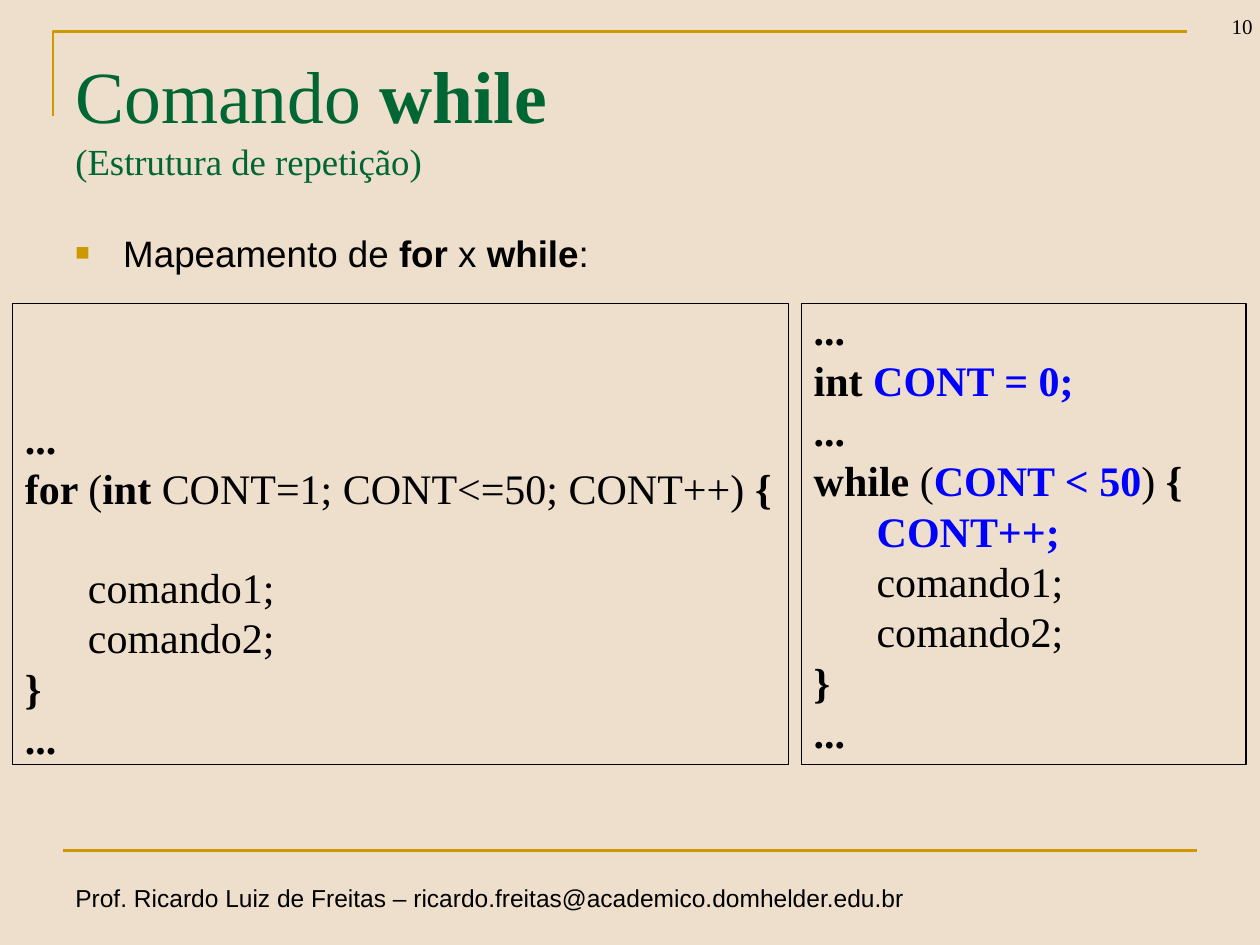
from dataclasses import dataclass

import lxml.etree
import pptx
import pptx.dml.color
import pptx.enum.shapes
import pptx.enum.text
import pptx.oxml.ns
import pptx.util

Inches = pptx.util.Inches
Pt = pptx.util.Pt
RGBColor = pptx.dml.color.RGBColor
Anchor = pptx.enum.text.MSO_ANCHOR
qn = pptx.oxml.ns.qn

SAND = RGBColor(0xEE, 0xDF, 0xCC)
GOLD = RGBColor(0xCC, 0x99, 0x00)
GREEN = RGBColor(0x00, 0x66, 0x33)
BLACK = RGBColor(0x00, 0x00, 0x00)
BLUE = RGBColor(0x00, 0x00, 0xFF)
SERIF = "Times New Roman"
SANS = "Arial"
CODE_GAP = 5.7
BLANK_LINE = 27.8


@dataclass
class Run:
    text: str
    bold: bool = False
    color: RGBColor = BLACK


@dataclass
class CodeLine:
    runs: list[Run]
    blank_lines_before: int = 0


@dataclass
class CodeBox:
    left: float
    width: float
    top_inset: float
    lines: list[CodeLine]


DOTS = CodeLine([Run("...", True)])
CLOSING = [CodeLine([Run("      comando2;")]), CodeLine([Run("}", True)]), DOTS]
CODE_BOXES = [
    CodeBox(0.1, 6.16, 0.94, [
        DOTS,
        CodeLine([Run("for ", True), Run("("), Run("int", True),
                  Run(" CONT=1; CONT<=50; CONT++) "), Run("{", True)]),
        CodeLine([Run("      comando1;")], blank_lines_before=1),
        *CLOSING,
    ]),
    CodeBox(6.36, 3.53, 0.08, [
        DOTS,
        CodeLine([Run("int ", True), Run("CONT = 0;", True, BLUE)]),
        DOTS,
        CodeLine([Run("while ", True), Run("("), Run("CONT < 50", True, BLUE),
                  Run(") "), Run("{", True)]),
        CodeLine([Run("      "), Run("CONT++;", True, BLUE)]),
        CodeLine([Run("      comando1;")]),
        *CLOSING,
    ]),
]


def add_run(paragraph, content: Run, size: float, font_name: str) -> None:
    run = paragraph.add_run()
    run.text = content.text
    run.font.size = Pt(size)
    run.font.name = font_name
    run.font.bold = content.bold
    run.font.color.rgb = content.color


def add_text(slide, left: float, top: float, width: float, height: float,
             runs: list[Run], size: float, font_name: str,
             anchor=Anchor.TOP, wrap: bool = True):
    """Add a one-paragraph text box and return its text frame."""
    box = slide.shapes.add_textbox(Inches(left), Inches(top), Inches(width), Inches(height))
    text_frame = box.text_frame
    text_frame.word_wrap = wrap
    text_frame.vertical_anchor = anchor
    for content in runs:
        add_run(text_frame.paragraphs[0], content, size, font_name)
    return text_frame


def add_gold_lines(slide) -> None:
    builder = slide.shapes.build_freeform(Inches(0.42), Inches(0.92))
    builder.add_line_segments(
        [(Inches(0.42), Inches(0.25)), (Inches(9.42), Inches(0.25))], close=False)
    corner = builder.convert_to_shape()
    corner.shadow.inherit = False
    corner.fill.background()
    rule = slide.shapes.add_connector(
        pptx.enum.shapes.MSO_CONNECTOR.STRAIGHT,
        Inches(0.5), Inches(6.75), Inches(9.5), Inches(6.75))
    lxml.etree.SubElement(rule._element.spPr, qn("a:effectLst"))
    for shape in (corner, rule):
        shape.line.color.rgb = GOLD
        shape.line.width = Pt(1.5)


def add_title(slide) -> None:
    text_frame = add_text(slide, 0.5, 0.3, 9, 1.25,
                          [Run("Comando ", color=GREEN), Run("while", True, GREEN)],
                          42, SERIF, Anchor.MIDDLE)
    paragraph = text_frame.paragraphs[0]
    paragraph.add_line_break()
    add_run(paragraph, Run("(Estrutura de repetição)", color=GREEN), 21, SERIF)


def add_bullet(paragraph, character: str, color: RGBColor, percent: int) -> None:
    properties = paragraph._p.get_or_add_pPr()
    properties.set("marL", str(Inches(0.38)))
    properties.set("indent", str(Inches(-0.38)))
    bullet_color = lxml.etree.SubElement(properties, qn("a:buClr"))
    lxml.etree.SubElement(bullet_color, qn("a:srgbClr"), val=str(color))
    lxml.etree.SubElement(properties, qn("a:buSzPct"), val=str(percent * 1000))
    lxml.etree.SubElement(properties, qn("a:buFont"), typeface=SANS)
    lxml.etree.SubElement(properties, qn("a:buChar"), char=character)


def add_code_box(slide, box: CodeBox) -> None:
    shape = slide.shapes.add_shape(
        pptx.enum.shapes.MSO_SHAPE.RECTANGLE,
        Inches(box.left), Inches(2.41), Inches(box.width), Inches(3.66))
    shape.shadow.inherit = False
    shape.fill.background()
    shape.line.color.rgb = BLACK
    shape.line.width = Pt(0.75)
    text_frame = shape.text_frame
    text_frame.word_wrap = True
    text_frame.vertical_anchor = Anchor.TOP
    text_frame.margin_top = Inches(box.top_inset)
    for index, line in enumerate(box.lines):
        paragraph = text_frame.add_paragraph() if index else text_frame.paragraphs[0]
        paragraph.alignment = pptx.enum.text.PP_ALIGN.LEFT
        paragraph.line_spacing = 0.8
        if index:
            paragraph.space_before = Pt(CODE_GAP + BLANK_LINE * line.blank_lines_before)
        for content in line.runs:
            add_run(paragraph, content, 24, SERIF)


def main() -> None:
    presentation = pptx.Presentation()
    presentation.slide_width = Inches(10)
    presentation.slide_height = Inches(7.5)
    slide = presentation.slides.add_slide(presentation.slide_layouts[6])
    slide.background.fill.solid()
    slide.background.fill.fore_color.rgb = SAND

    add_gold_lines(slide)
    add_text(slide, 0.5, 6.96, 6.86, 0.34,
             [Run("Prof. Ricardo Luiz de Freitas – ricardo.freitas@academico.domhelder.edu.br")],
             14, SANS, wrap=False)
    page_number = add_text(slide, 9.29, -0.14, 0.75, 0.5, [Run("10")], 12, SERIF, Anchor.BOTTOM)
    page_number.paragraphs[0].alignment = pptx.enum.text.PP_ALIGN.RIGHT
    add_title(slide)
    body = add_text(slide, 0.5, 1.78, 9, 0.72,
                    [Run("Mapeamento de "), Run("for ", True), Run("x "),
                     Run("while", True), Run(":")], 21, SANS)
    add_bullet(body.paragraphs[0], "■", GOLD, 65)
    for box in CODE_BOXES:
        add_code_box(slide, box)
    presentation.save("out.pptx")


if __name__ == "__main__":
    main()
